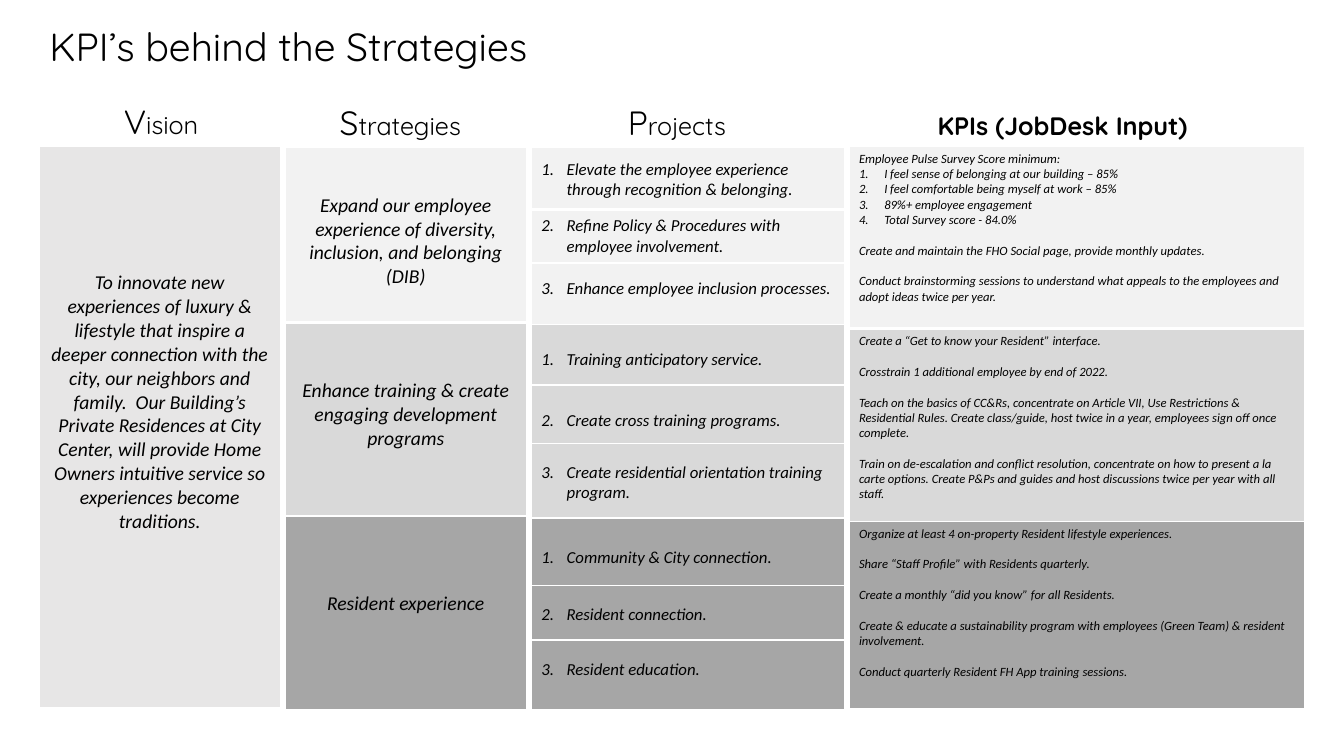
from dataclasses import dataclass

from lxml.etree import SubElement
from pptx import Presentation
from pptx.dml.color import RGBColor
from pptx.enum.text import MSO_ANCHOR, MSO_AUTO_SIZE, PP_ALIGN
from pptx.oxml.ns import qn
from pptx.util import Inches, Pt

BLACK = RGBColor(0x00, 0x00, 0x00)
WHITE = RGBColor(0xFF, 0xFF, 0xFF)
VISION_GRAY = RGBColor(0xE7, 0xE6, 0xE6)
STRATEGY_GRAYS = [
    RGBColor(0xF2, 0xF2, 0xF2),
    RGBColor(0xD9, 0xD9, 0xD9),
    RGBColor(0xA6, 0xA6, 0xA6),
]
BLANK_LAYOUT = 6
KPI_GAP = 11


@dataclass
class Line:
    text: str
    number: int = 0  # start of the numbering, 0 for plain text
    spacing: float = 1
    before: float = 0


@dataclass
class Row:
    height: float
    fill: RGBColor
    lines: list
    top: float = 0.05
    anchor: MSO_ANCHOR = MSO_ANCHOR.TOP


def write(paragraph, text, font="Calibri", size=12, bold=False, italic=False):
    run = paragraph.add_run()
    run.text = text
    run.font.name = font
    run.font.size = Pt(size)
    run.font.bold = bold
    run.font.italic = italic
    run.font.color.rgb = BLACK


class SlideBuilder:
    heading_font = "Quicksand"
    body_font = "Calibri"

    def __init__(self, slide):
        self.slide = slide

    def heading(self, box, parts, bold=False, align=PP_ALIGN.LEFT, wrap=True,
                anchor=MSO_ANCHOR.TOP, spacing=1, grow=True):
        frame = self.slide.shapes.add_textbox(*map(Inches, box)).text_frame
        frame.word_wrap = wrap
        frame.vertical_anchor = anchor
        if grow:
            frame.auto_size = MSO_AUTO_SIZE.SHAPE_TO_FIT_TEXT
        paragraph = frame.paragraphs[0]
        paragraph.alignment = align
        paragraph.line_spacing = spacing
        for text, size in parts:
            write(paragraph, text, font=self.heading_font, size=size, bold=bold)

    def column(self, left, top, width, rows, size, align=PP_ALIGN.LEFT):
        height = sum(row.height for row in rows)
        table = self.slide.shapes.add_table(
            len(rows), 1, Inches(left), Inches(top), Inches(width), Inches(height)
        ).table
        table.first_row = table.horz_banding = False
        table.columns[0].width = Inches(width)
        for index, row in enumerate(rows):
            table.rows[index].height = Inches(row.height)
            cell = table.cell(index, 0)
            self.borders(cell, bottom=3 if index == 0 else 1)
            cell.fill.solid()
            cell.fill.fore_color.rgb = row.fill
            cell.margin_left = cell.margin_right = Inches(0.1)
            cell.margin_top, cell.margin_bottom = Inches(row.top), Inches(0.05)
            cell.vertical_anchor = row.anchor
            self.lines(cell.text_frame, row.lines, size, align)

    def lines(self, frame, lines, size, align):
        for index, line in enumerate(lines):
            paragraph = frame.add_paragraph() if index else frame.paragraphs[0]
            if line.number:
                self.numbering(paragraph, line.number)
            paragraph.alignment = align
            paragraph.line_spacing = line.spacing
            paragraph.space_before = Pt(line.before)
            write(paragraph, line.text, font=self.body_font, size=size, italic=True)

    def numbering(self, paragraph, start):
        properties = paragraph._p.get_or_add_pPr()
        properties.set("marL", str(Inches(0.25)))
        properties.set("indent", str(-Inches(0.25)))
        number = SubElement(properties, qn("a:buAutoNum"), type="arabicPeriod")
        if start > 1:
            number.set("startAt", str(start))

    def borders(self, cell, bottom):
        properties = cell._tc.get_or_add_tcPr()
        for side, width in (("L", 1), ("R", 1), ("T", 1), ("B", bottom)):
            edge = SubElement(properties, qn(f"a:ln{side}"), w=str(Pt(width)))
            fill = SubElement(edge, qn("a:solidFill"))
            SubElement(fill, qn("a:srgbClr"), val=str(WHITE))


VISION = (
    "To innovate new experiences of luxury & lifestyle that inspire a deeper "
    "connection with the city, our neighbors and family.  Our Building’s Private "
    "Residences at City Center, will provide Home Owners intuitive service so "
    "experiences become traditions."
)

# Height, top margin, line
STRATEGIES = [
    (1.74, 0.46, Line("Expand our employee experience of diversity, inclusion, "
                      "and belonging (DIB)")),
    (1.92, 0.56, Line("Enhance training & create engaging development programs")),
    (1.92, 0.63, Line("Resident experience", spacing=1.5)),
]

# Height, top margin, line spacing, text: three projects per strategy
PROJECTS = [
    (0.62, 0.12, 1, "Elevate the employee experience through recognition & belonging."),
    (0.53, 0.05, 1, "Refine Policy & Procedures with employee involvement."),
    (0.61, 0.05, 1.5, "Enhance employee inclusion processes."),
    (0.6, 0.05, 2, "Training anticipatory service."),
    (0.58, 0.05, 2, "Create cross training programs."),
    (0.74, 0.19, 1, "Create residential orientation training program."),
    (0.67, 0.19, 1.5, "Community & City connection."),
    (0.54, 0.19, 1, "Resident connection."),
    (0.69, 0.19, 1, "Resident education."),
]

SURVEY_TARGETS = [
    "I feel sense of belonging at our building – 85%",
    "I feel comfortable being myself at work – 85%",
    "89%+ employee engagement",
    "Total Survey score - 84.0%",
]
KPIS = [
    (1.81, ["Employee Pulse Survey Score minimum:",
            "Create and maintain the FHO Social page, provide monthly updates.",
            "Conduct brainstorming sessions to understand what appeals to the "
            "employees and adopt ideas twice per year."]),
    (1.91, ["Create a “Get to know your Resident” interface.",
            "Crosstrain 1 additional employee by end of 2022.",
            "Teach on the basics of CC&Rs, concentrate on Article VII, Use "
            "Restrictions & Residential Rules. Create class/guide, host twice in "
            "a year, employees sign off once complete.",
            "Train on de-escalation and conflict resolution, concentrate on how to "
            "present a la carte options. Create P&Ps and guides and host "
            "discussions twice per year with all staff."]),
    (1.86, ["Organize at least 4 on-property Resident lifestyle experiences.",
            "Share “Staff Profile” with Residents quarterly.",
            "Create a monthly “did you know” for all Residents.",
            "Create & educate a sustainability program with employees (Green Team) "
            "& resident involvement.",
            "Conduct quarterly Resident FH App training sessions."]),
]


def main():
    deck = Presentation()
    deck.slide_width, deck.slide_height = Inches(13.33), Inches(7.5)
    builder = SlideBuilder(deck.slides.add_slide(deck.slide_layouts[BLANK_LAYOUT]))

    # Title
    builder.heading((0.39, 0.02, 11.71, 0.93), [("KPI’s behind the Strategies", 28)],
                    anchor=MSO_ANCHOR.MIDDLE, spacing=0.9, grow=False)

    # Vision, strategies and projects
    builder.column(0.39, 1.45, 2.39, [Row(5.58, VISION_GRAY, [Line(VISION)], 1.24)],
                   14, PP_ALIGN.CENTER)
    strategy_rows = [Row(height, gray, [line], top)
                     for (height, top, line), gray in zip(STRATEGIES, STRATEGY_GRAYS)]
    builder.column(2.83, 1.46, 2.39, strategy_rows, 14, PP_ALIGN.CENTER)
    project_rows = [
        Row(height, STRATEGY_GRAYS[index // 3],
            [Line(text, number=index % 3 + 1, spacing=spacing)], top)
        for index, (height, top, spacing, text) in enumerate(PROJECTS)
    ]
    project_rows[1].anchor = MSO_ANCHOR.MIDDLE
    builder.column(5.27, 1.46, 3.11, project_rows, 12)

    # KPIs, with the survey targets under the first one
    kpi_rows = [
        Row(height, gray, [Line(text, before=KPI_GAP if index else 0)
                           for index, text in enumerate(texts)])
        for (height, texts), gray in zip(KPIS, STRATEGY_GRAYS)
    ]
    kpi_rows[0].lines[1:1] = [Line(text, number=1) for text in SURVEY_TARGETS]
    builder.column(8.42, 1.45, 4.52, kpi_rows, 9)

    # Column headings
    builder.heading((1.13, 0.95, 0.96, 0.5), [("V", 24), ("ision", 18)], wrap=False)
    builder.heading((3.25, 0.96, 1.44, 0.5), [("S", 24), ("trategies", 18)],
                    align=PP_ALIGN.CENTER, wrap=False)
    builder.heading((5.38, 0.96, 2.67, 0.5), [("P", 24), ("rojects", 18)],
                    align=PP_ALIGN.CENTER)
    builder.heading((9.2, 1.05, 3.02, 0.4), [("KPIs (JobDesk Input)", 18)], bold=True)

    deck.save("out.pptx")


if __name__ == "__main__":
    main()
